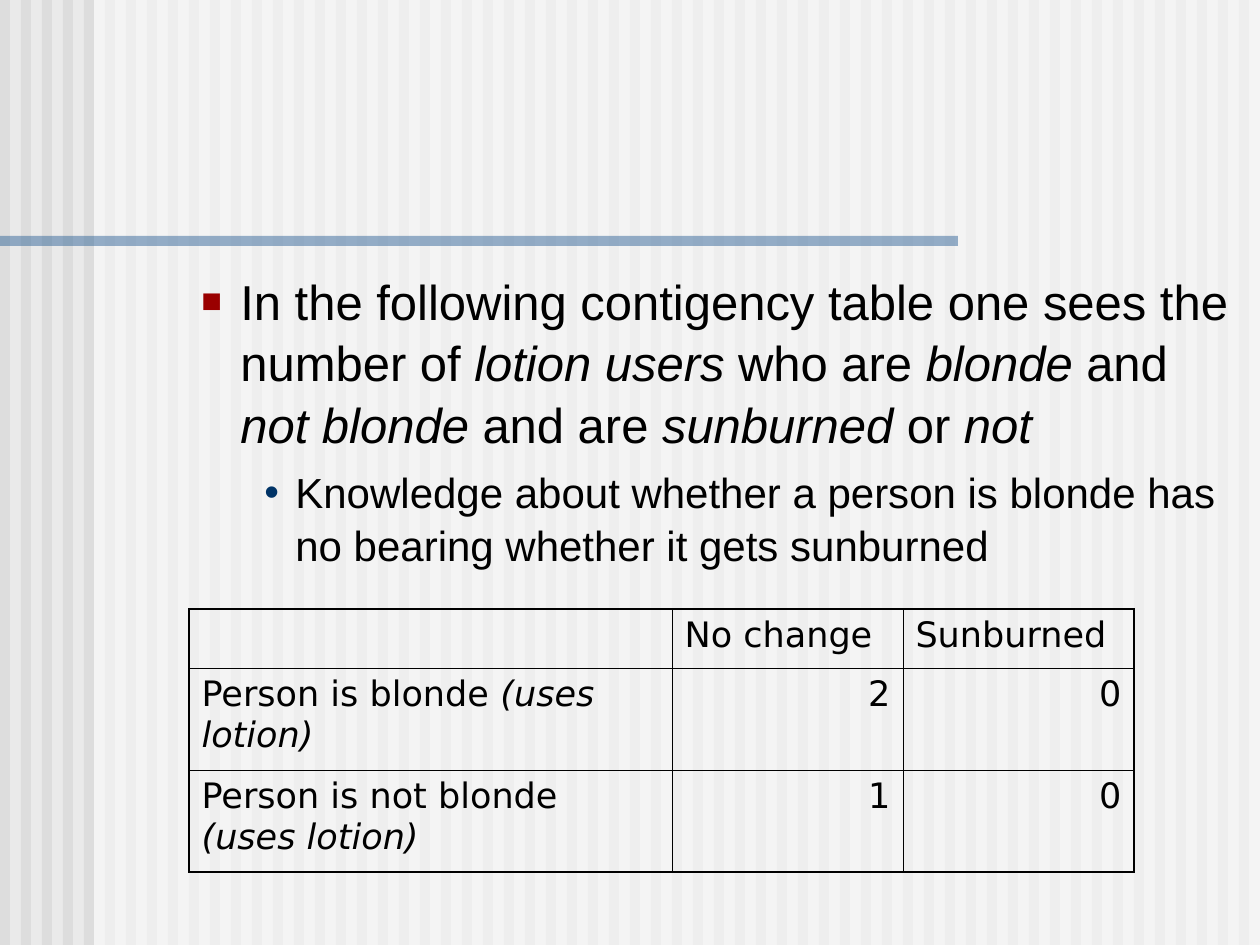
from dataclasses import dataclass

from lxml import etree
from pptx import Presentation
from pptx.dml.color import RGBColor
from pptx.enum.shapes import MSO_SHAPE
from pptx.enum.text import PP_ALIGN
from pptx.oxml.ns import qn
from pptx.util import Emu, Pt

RECTANGLE = MSO_SHAPE.RECTANGLE
LEFT, RIGHT = PP_ALIGN.LEFT, PP_ALIGN.RIGHT
PX = 914400 // 126
SLIDE_WIDTH, SLIDE_HEIGHT = 1260, 945
STRIPE_COUNT, STRIPE_PITCH, STRIPE_WIDTH = 60, 21, 10
COLUMN_WIDTHS = (483, 231, 231)
ROW_HEIGHTS = (59, 102, 102)
OUTER_LINE, INNER_LINE = 1.08, 0.45
COLORS = {
    "background": "EAEAEA",
    "stripe": "DDDDDD",
    "veil": "FFFFFF",
    "rule": "336699",
    "square": "9A0000",
    "dot": "003366",
    "text": "000000",
}


@dataclass(frozen=True)
class Band:
    left: int
    top: int
    width: int
    height: int
    color: str
    opacity: int = 100


@dataclass(frozen=True)
class Run:
    text: str
    italic: bool = False


@dataclass(frozen=True)
class BulletItem:
    runs: tuple[Run, ...]
    size: int
    margin: int
    hanging: int
    bullet: str
    bullet_color: str
    bullet_percent: int
    space_before: int


BANDS = [
    Band(index * STRIPE_PITCH, 0, STRIPE_WIDTH, SLIDE_HEIGHT, "stripe")
    for index in range(STRIPE_COUNT)
] + [
    Band(94, 0, 1166, SLIDE_HEIGHT, "veil", 50),
    Band(0, 236, 958, 10, "rule", 50),
]

BULLET_ITEMS = (
    BulletItem(
        (
            Run("In the following contigency table one sees the number of "),
            Run("lotion users", True),
            Run(" who are "),
            Run("blonde", True),
            Run(" and "),
            Run("not blonde", True),
            Run(" and are "),
            Run("sunburned", True),
            Run(" or "),
            Run("not", True),
        ),
        28, 102, 39, "■", "square", 70, 0,
    ),
    BulletItem(
        (Run("Knowledge about whether a person is blonde has no bearing whether it gets sunburned"),),
        24, 157, 31, "•", "dot", 100, 6,
    ),
)

LOTION = Run("(uses lotion)", True)
TABLE_ROWS = (
    ((), (Run("No change"),), (Run("Sunburned"),)),
    ((Run("Person is blonde "), LOTION), (Run("2"),), (Run("0"),)),
    ((Run("Person is not blonde "), LOTION), (Run("1"),), (Run("0"),)),
)


def px(length: int) -> Emu:
    return Emu(length * PX)


def rgb(name: str) -> RGBColor:
    return RGBColor.from_string(COLORS[name])


def add_band(slide, band: Band) -> None:
    shape = slide.shapes.add_shape(
        RECTANGLE, px(band.left), px(band.top), px(band.width), px(band.height)
    )
    shape.shadow.inherit = False
    shape.line.fill.background()
    shape.fill.solid()
    shape.fill.fore_color.rgb = rgb(band.color)
    if band.opacity < 100:
        color = shape.fill._xPr.find(".//" + qn("a:srgbClr"))
        etree.SubElement(color, qn("a:alpha"), val=str(band.opacity * 1000))


def write_runs(paragraph, runs: tuple[Run, ...], font_name: str, size: int) -> None:
    paragraph.font.name = font_name
    paragraph.font.size = Pt(size)
    paragraph.font.color.rgb = rgb("text")
    for item in runs:
        run = paragraph.add_run()
        run.text = item.text
        if item.italic:
            run.font.italic = True


def add_bullet(paragraph, item: BulletItem) -> None:
    properties = paragraph._p.get_or_add_pPr()
    properties.set("marL", str(px(item.margin)))
    properties.set("indent", str(-px(item.hanging)))
    color = etree.SubElement(properties, qn("a:buClr"))
    etree.SubElement(color, qn("a:srgbClr"), val=COLORS[item.bullet_color])
    etree.SubElement(properties, qn("a:buSzPct"), val=str(item.bullet_percent * 1000))
    etree.SubElement(properties, qn("a:buFont"), typeface="Arial")
    etree.SubElement(properties, qn("a:buChar"), char=item.bullet)


def add_body(slide) -> None:
    frame = slide.shapes.add_textbox(px(126), px(262), px(1118), px(577)).text_frame
    frame.word_wrap = True
    for index, item in enumerate(BULLET_ITEMS):
        paragraph = frame.add_paragraph() if index else frame.paragraphs[0]
        add_bullet(paragraph, item)
        paragraph.line_spacing = 1.05
        paragraph.space_before = Pt(item.space_before)
        write_runs(paragraph, item.runs, "Arial", item.size)


def set_borders(cell, row: int, column: int) -> None:
    outer_edges = {
        "a:lnL": column == 0,
        "a:lnR": column == len(COLUMN_WIDTHS) - 1,
        "a:lnT": row == 0,
        "a:lnB": row == len(ROW_HEIGHTS) - 1,
    }
    properties = cell._tc.get_or_add_tcPr()
    for position, (tag, is_outer) in enumerate(outer_edges.items()):
        line = etree.Element(qn(tag), w=str(Pt(OUTER_LINE if is_outer else INNER_LINE)))
        fill = etree.SubElement(line, qn("a:solidFill"))
        etree.SubElement(fill, qn("a:srgbClr"), val=COLORS["text"])
        properties.insert(position, line)


def add_sunburn_table(slide) -> None:
    table = slide.shapes.add_table(
        len(ROW_HEIGHTS), len(COLUMN_WIDTHS), px(189), px(609),
        px(sum(COLUMN_WIDTHS)), px(sum(ROW_HEIGHTS)),
    ).table
    table.first_row = False
    table.horz_banding = False
    for column, width in zip(table.columns, COLUMN_WIDTHS):
        column.width = px(width)
    for row, height in zip(table.rows, ROW_HEIGHTS):
        row.height = px(height)
    for row_index, row in enumerate(TABLE_ROWS):
        for column_index, runs in enumerate(row):
            cell = table.cell(row_index, column_index)
            cell.fill.background()
            set_borders(cell, row_index, column_index)
            paragraph = cell.text_frame.paragraphs[0]
            paragraph.alignment = RIGHT if row_index and column_index else LEFT
            write_runs(paragraph, runs, "DejaVu Sans", 20)


def main() -> None:
    presentation = Presentation()
    presentation.slide_width = px(SLIDE_WIDTH)
    presentation.slide_height = px(SLIDE_HEIGHT)
    slide = presentation.slides.add_slide(presentation.slide_layouts[6])
    slide.background.fill.solid()
    slide.background.fill.fore_color.rgb = rgb("background")
    for band in BANDS:
        add_band(slide, band)
    add_body(slide)
    add_sunburn_table(slide)
    presentation.save("out.pptx")


if __name__ == "__main__":
    main()
